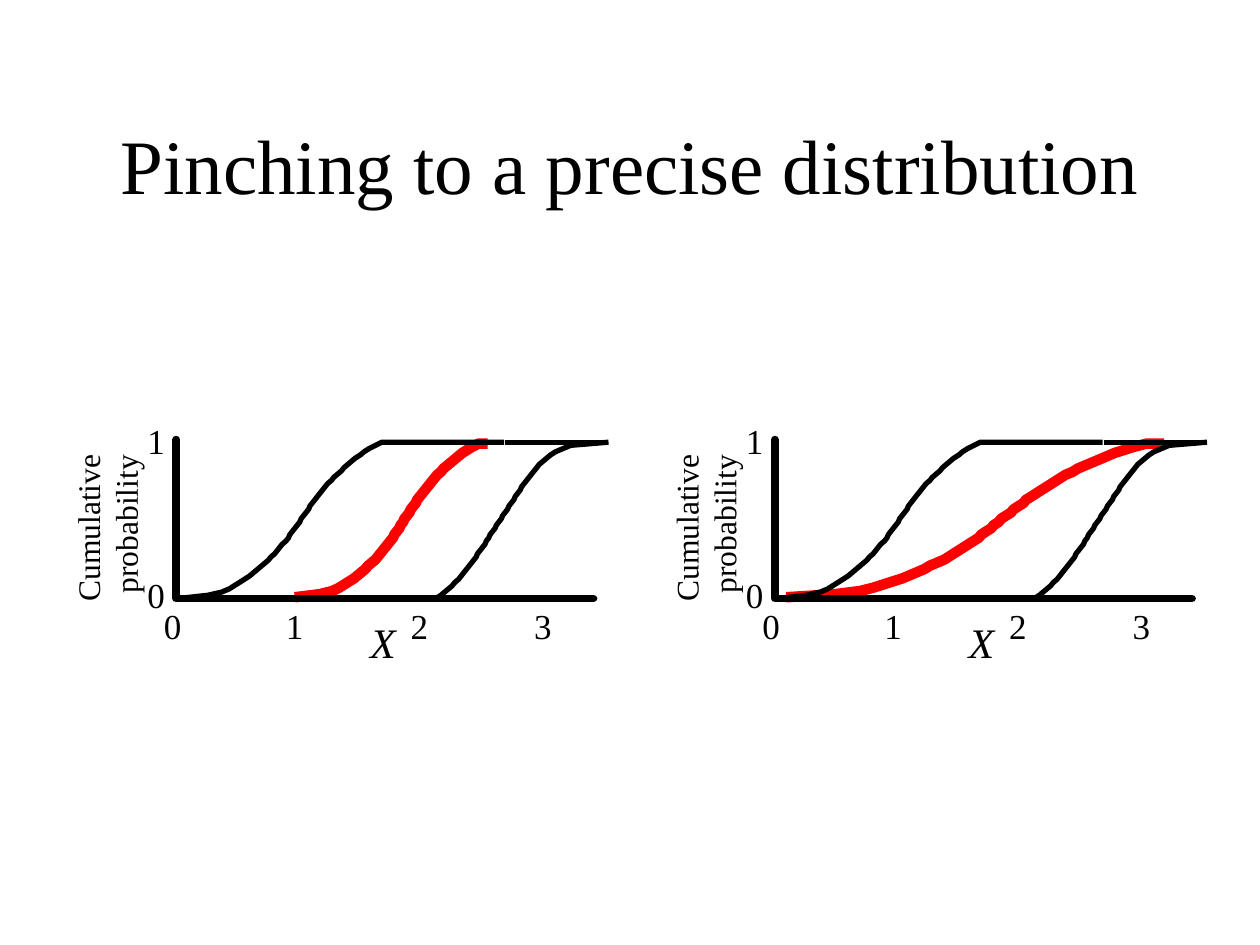
from dataclasses import dataclass

from lxml import etree
from pptx import Presentation
from pptx.dml.color import RGBColor
from pptx.enum.shapes import MSO_CONNECTOR
from pptx.enum.text import MSO_ANCHOR, MSO_AUTO_SIZE, PP_ALIGN
from pptx.oxml.ns import qn
from pptx.util import Inches, Pt

STRAIGHT = MSO_CONNECTOR.STRAIGHT
MIDDLE = MSO_ANCHOR.MIDDLE
GROW = MSO_AUTO_SIZE.SHAPE_TO_FIT_TEXT
FIXED = MSO_AUTO_SIZE.NONE
CENTER = PP_ALIGN.CENTER
LEFT = PP_ALIGN.LEFT

COLORS = {"ink": "000000", "pinch": "FF0000"}
FONT = "Times New Roman"
BASE, TOP = 4.75, 3.51

LEFT_BOUND = [
    1.42, 1.65, 1.76, 1.82, 1.86, 1.90, 1.94, 1.98, 2.01, 2.04,
    2.07, 2.10, 2.13, 2.15, 2.18, 2.20, 2.22, 2.24, 2.27, 2.29,
    2.30, 2.32, 2.34, 2.36, 2.38, 2.39, 2.41, 2.43, 2.45, 2.46,
    2.48, 2.50, 2.52, 2.54, 2.56, 2.58, 2.60, 2.63, 2.65, 2.68,
    2.71, 2.73, 2.76, 2.79, 2.82, 2.86, 2.89, 2.93, 2.98, 3.03,
]
RIGHT_BOUND = [
    3.46, 3.50, 3.53, 3.56, 3.59, 3.61, 3.64, 3.66, 3.68, 3.70,
    3.72, 3.74, 3.76, 3.78, 3.79, 3.81, 3.83, 3.85, 3.86, 3.88,
    3.89, 3.91, 3.93, 3.94, 3.96, 3.98, 3.99, 4.01, 4.03, 4.04,
    4.06, 4.08, 4.09, 4.11, 4.13, 4.14, 4.16, 4.18, 4.20, 4.22,
    4.24, 4.26, 4.28, 4.31, 4.34, 4.37, 4.41, 4.47, 4.53, 4.83,
]
PINCHED = [
    2.34, 2.54, 2.64, 2.69, 2.73, 2.77, 2.81, 2.84, 2.87, 2.90,
    2.92, 2.95, 2.98, 3.00, 3.02, 3.04, 3.06, 3.08, 3.10, 3.12,
    3.13, 3.15, 3.17, 3.18, 3.20, 3.21, 3.23, 3.25, 3.26, 3.28,
    3.30, 3.31, 3.33, 3.35, 3.37, 3.39, 3.41, 3.43, 3.45, 3.47,
    3.50, 3.52, 3.55, 3.58, 3.61, 3.64, 3.67, 3.71, 3.75, 3.80,
]
PINCHED_END = 3.87


@dataclass
class Panel:
    offset: float
    pinch_start: float
    pinch_width: float


@dataclass
class Label:
    text: str
    left: float
    top: float
    width: float
    height: float
    size: float
    inset: bool = True
    italic: bool = False
    align: PP_ALIGN = LEFT
    rotation: float = 0
    autosize: MSO_AUTO_SIZE = GROW


PANELS = [Panel(0, 2.34, 1.53), Panel(4.75, 6.24, 3)]
TITLE = Label("Pinching to a precise distribution", 0, 0.67, 10, 1.25, 44,
              align=CENTER, autosize=FIXED)
DIGITS = [("0", 1.17, 4.55), ("1", 1.17, 3.33), ("1", 2.27, 4.8),
          ("2", 3.26, 4.8), ("3", 4.24, 4.8), ("0", 1.3, 4.8)]
LABELS = [Label(text, left, top, 0.14, 0.34, 20, inset=False)
          for text, left, top in DIGITS]
LABELS += [
    Label("X", 2.84, 4.84, 0.4, 0.5, 24, italic=True),
    Label("Cumulative \nprobability", 0.13, 3.81, 1.43, 0.7, 18,
          align=CENTER, rotation=270),
]


def add_label(slide, label: Label, offset: float = 0) -> None:
    box = slide.shapes.add_textbox(Inches(label.left + offset), Inches(label.top),
                                   Inches(label.width), Inches(label.height))
    box.rotation = label.rotation
    frame = box.text_frame
    frame.text = label.text
    frame.word_wrap = label.autosize == FIXED
    frame.auto_size = label.autosize
    if label.autosize == FIXED:
        frame.vertical_anchor = MIDDLE
    if not label.inset:
        frame.margin_left = frame.margin_right = 0
        frame.margin_top = frame.margin_bottom = 0
    for para in frame.paragraphs:
        para.alignment = label.align
        for span in para.runs:
            span.font.name = FONT
            span.font.size = Pt(label.size)
            span.font.italic = label.italic
            span.font.color.rgb = RGBColor.from_string(COLORS["ink"])


def style_line(line, color: str, weight: float) -> None:
    line.color.rgb = RGBColor.from_string(COLORS[color])
    line.width = Pt(weight)


def add_path(slide, points: list[tuple[float, float]], color: str,
             weight: float, closed: bool = False) -> None:
    start, *rest = [(Inches(x), Inches(y)) for x, y in points]
    builder = slide.shapes.build_freeform(*start)
    builder.add_line_segments(rest, close=closed)
    shape = builder.convert_to_shape()
    shape.shadow.inherit = False
    shape.fill.background()
    style_line(shape.line, color, weight)


def curve_points(xs: list[float], base: float = BASE,
                 top: float = TOP) -> list[tuple[float, float]]:
    step = (base - top) / (len(xs) - 1)
    return [(x, base - index * step) for index, x in enumerate(xs)]


def add_panel(slide, panel: Panel) -> None:
    offset = panel.offset
    stretch = panel.pinch_width / (PINCHED_END - PINCHED[0])
    pinched = [panel.pinch_start + (x - PINCHED[0]) * stretch for x in PINCHED]
    pinch_end = panel.pinch_start + panel.pinch_width
    add_path(slide, curve_points(pinched, 4.74, 3.52) + [(pinch_end, 3.52)],
             "pinch", 6)

    right, left = 4.71 + offset, 1.4 + offset
    add_path(slide, [(right, BASE), (left, BASE), (left, 3.49),
                     (left, BASE), (right, BASE)], "ink", 4.5, closed=True)

    left_bound = curve_points([x + offset for x in LEFT_BOUND])
    add_path(slide, left_bound + [(4 + offset, TOP)], "ink", 3)
    add_path(slide, curve_points([x + offset for x in RIGHT_BOUND]), "ink", 3)

    for label in LABELS:
        add_label(slide, label, offset)

    plateau = slide.shapes.add_connector(
        STRAIGHT, Inches(4.01 + offset), Inches(TOP),
        Inches(4.82 + offset), Inches(TOP))
    style_line(plateau.line, "ink", 3)
    etree.SubElement(plateau._element.spPr, qn("a:effectLst"))


def main() -> None:
    deck = Presentation()
    deck.slide_width, deck.slide_height = Inches(10), Inches(7.5)
    page = deck.slides.add_slide(deck.slide_layouts[6])
    add_label(page, TITLE)
    for panel in PANELS:
        add_panel(page, panel)
    deck.save("out.pptx")


if __name__ == "__main__":
    main()
